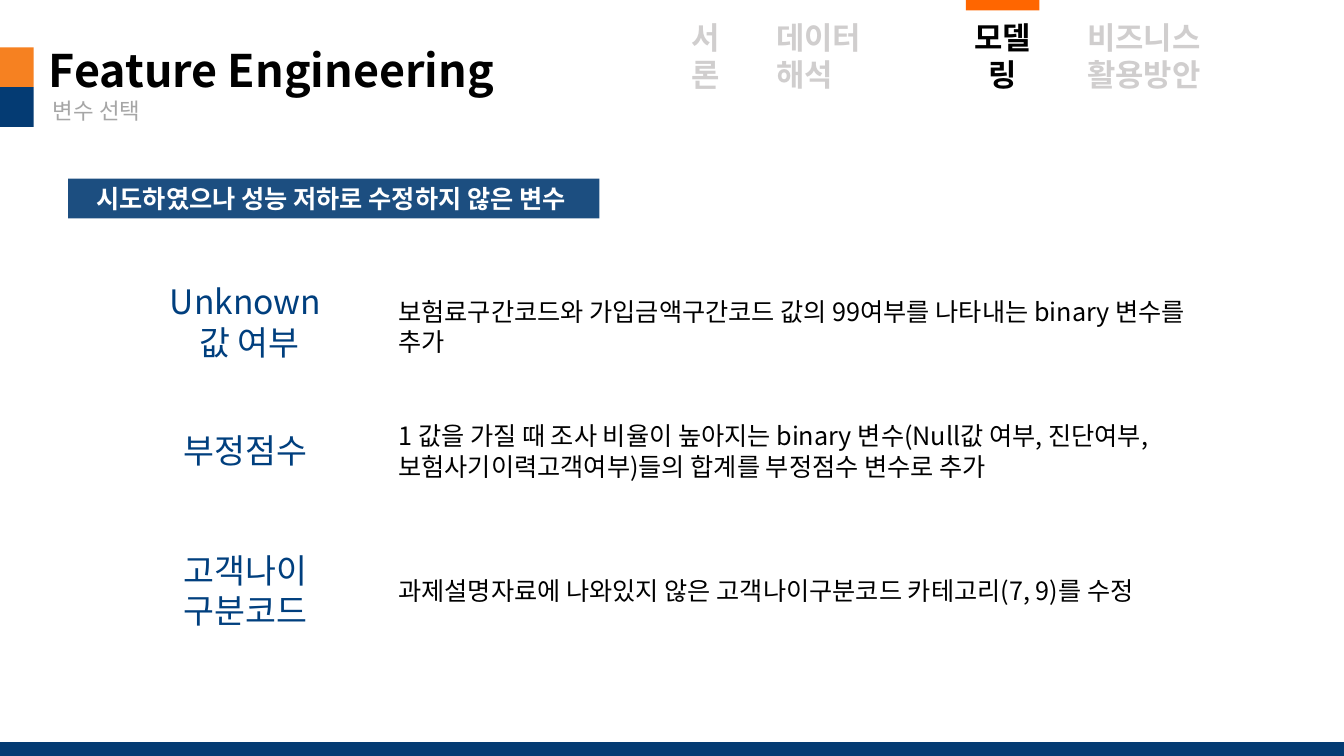
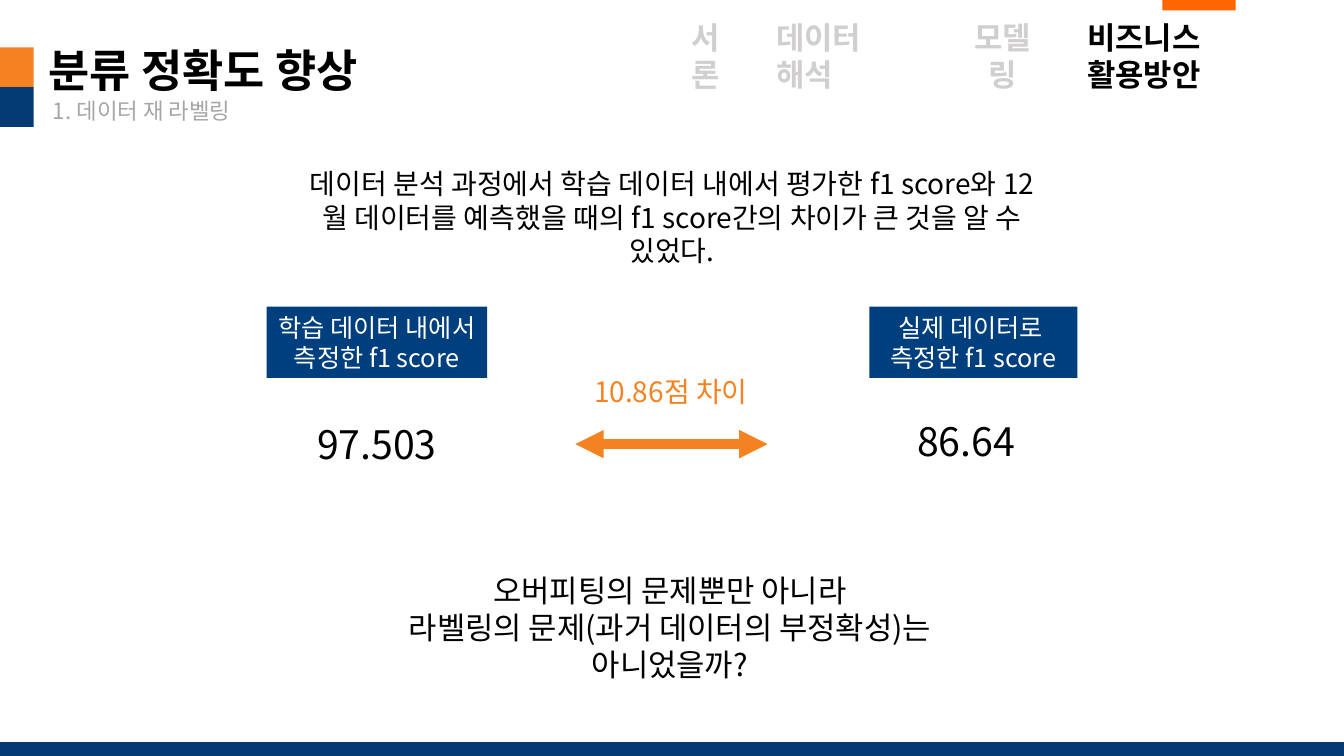
import pptx
import pptx.util
import pptx.dml.color
import pptx.enum.shapes
import pptx.enum.text
import pptx.oxml
import pptx.oxml.ns
import lxml.etree

PX = 9525  # EMU in one px; the slide is 1280 x 720 px
WIDTH, HEIGHT = 1280, 720
FONT = "Noto Sans CJK KR"
COLORS = {
    "navy": "043B73",
    "blue": "003F7E",
    "orange": "F68121",
    "arrow": "F48221",
    "marker": "FF6600",
    "black": "000000",
    "white": "FFFFFF",
    "gray": "A6A6A6",
    "faded": "D0CECE",
}
LEFT = pptx.enum.text.PP_ALIGN.LEFT
CENTER = pptx.enum.text.PP_ALIGN.CENTER

# Navigation: label, width, alignment
NAV_LEFT, NAV_TOP, NAV_HEIGHT, NAV_GAP = 637, 13, 45, 23
NAV_ITEMS = [
    ("서론", 70, CENTER),
    ("데이터 해석", 154, LEFT),
    ("모델링", 96, CENTER),
    ("비즈니스 활용방안", 239, LEFT),
]


def emu(*lengths):
    return [pptx.util.Emu(length * PX) for length in lengths]


def rgb(color):
    return pptx.dml.color.RGBColor.from_string(COLORS[color])


def add_drawing_element(parent, tag, **attributes):
    return lxml.etree.SubElement(parent, pptx.oxml.ns.qn(tag), attributes)


def write(shape, text, size, color, align=LEFT, bold=False):
    text_frame = shape.text_frame
    text_frame.word_wrap = True
    text_frame.text = text
    for paragraph in text_frame.paragraphs:
        paragraph.alignment = align
        for run in paragraph.runs:
            run.font.name = FONT
            run.font.size = pptx.util.Pt(size)
            run.font.bold = bold
            run.font.color.rgb = rgb(color)
            add_drawing_element(run.font._element, "a:ea", typeface=FONT)


def add_text(slide, box, text, size, color="black", align=LEFT, bold=False):
    shape = slide.shapes.add_textbox(*emu(*box))
    write(shape, text, size, color, align, bold)


def add_rectangle(slide, box, color):
    shape = slide.shapes.add_shape(
        pptx.enum.shapes.MSO_SHAPE.RECTANGLE, *emu(*box))
    shape.shadow.inherit = False
    shape.fill.solid()
    shape.fill.fore_color.rgb = rgb(color)
    shape.line.fill.background()
    return shape


def add_label(slide, box, text, color, bold=False):
    shape = add_rectangle(slide, box, color)
    shape.text_frame.vertical_anchor = pptx.enum.text.MSO_ANCHOR.MIDDLE
    write(shape, text, 18, "white", CENTER, bold)
    return shape


def add_line(slide, start, end, color, weight):
    line = slide.shapes.add_connector(
        pptx.enum.shapes.MSO_CONNECTOR.STRAIGHT, *emu(*start, *end))
    line.line.color.rgb = rgb(color)
    line.line.width = pptx.util.Pt(weight)
    add_drawing_element(line._element.spPr, "a:effectLst")
    return line


def add_navigation(slide, current, marker_left):
    left = NAV_LEFT
    for label, width, align in NAV_ITEMS:
        color = "black" if label == current else "faded"
        add_text(slide, (left, NAV_TOP, width, NAV_HEIGHT), label, 22, color,
                 align, True)
        left += width + NAV_GAP
    add_rectangle(slide, (marker_left, 0, 70, 10), "marker")


def add_base_slide(presentation, title, subtitle, current, marker_left):
    slide = presentation.slides.add_slide(presentation.slide_layouts[6])
    # Footer band and title blocks
    add_line(slide, (0, 713), (WIDTH, 713), "navy", 10)
    for index, color in enumerate(("orange", "navy")):
        add_rectangle(slide, (0, 45 + index * 38, 32, 38), color)
    # Title and navigation
    add_text(slide, (37, 36, 564, 61), title, 32, bold=True)
    add_text(slide, (41, 88, 289, 36), subtitle, 16, "gray")
    add_navigation(slide, current, marker_left)
    return slide


def add_variable_row(slide, left, top, term, description, offset):
    add_text(slide, (left, top, 178, 48), term, 24, "blue", CENTER)
    add_text(slide, (left + 225, top + offset, 785, 38), description, 18)


def add_score(slide, label_box, label, value_offset, value):
    left, top, _, _ = label_box
    shift, drop = value_offset
    add_label(slide, label_box, label, "blue")
    add_text(slide, (left + shift, top + drop, 210, 55), value, 28,
             align=CENTER)


def add_difference_arrow(slide, left, top, text):
    add_text(slide, (left, top, 210, 42), text, 20, "arrow", CENTER)
    arrow = add_line(slide, (left + 14, top + 71), (left + 197, top + 71),
                     "arrow", 6.75)
    outline = arrow.line._get_or_add_ln()
    for tag in ("a:headEnd", "a:tailEnd"):
        add_drawing_element(outline, tag, type="triangle")


def build_feature_slide(presentation):
    slide = add_base_slide(presentation, "Feature Engineering", "변수 선택",
                           "모델링", 920)
    # Section label, slightly transparent
    label = add_label(slide, (65, 170, 506, 38),
                      "시도하였으나 성능 저하로 수정하지 않은 변수 ", "navy", True)
    fill_color = label._element.spPr.find(".//" + pptx.oxml.ns.qn("a:srgbClr"))
    add_drawing_element(fill_color, "a:alpha", val="90000")
    # Variables: top, term, description, offset of the description
    rows = [
        (263, "Unknown\n 값 여부",
         "보험료구간코드와 가입금액구간코드 값의 99여부를 나타내는 binary 변수를 추가", 14),
        (405, "부정점수",
         "1 값을 가질 때 조사 비율이 높아지는 binary 변수(Null값 여부, 진단여부, "
         "보험사기이력고객여부)들의 합계를 부정점수 변수로 추가", -9),
        (519, "고객나이\n구분코드",
         "과제설명자료에 나와있지 않은 고객나이구분코드 카테고리(7, 9)를 수정", 24),
    ]
    for top, term, description, offset in rows:
        add_variable_row(slide, 145, top, term, description, offset)


def build_accuracy_slide(presentation):
    slide = add_base_slide(presentation, "분류 정확도 향상", "1. 데이터 재 라벨링",
                           "비즈니스 활용방안", 1107)
    # Introduction
    add_text(slide, (274, 154, 732, 74),
             "데이터 분석 과정에서 학습 데이터 내에서 평가한 f1 score와 "
             "12월 데이터를 예측했을 때의 f1 score간의 차이가 큰 것을 알 수 있었다.",
             20, align=CENTER)
    # Score comparison
    add_score(slide, (254, 292, 210, 68), "학습 데이터 내에서 측정한 f1 score",
              (0, 104), "97.503")
    add_score(slide, (828, 292, 198, 68), "실제 데이터로 \n측정한 f1 score",
              (-13, 101), "86.64")
    add_difference_arrow(slide, 534, 352, "10.86점 차이")
    # Closing question
    add_text(slide, (312, 540, 652, 81),
             "오버피팅의 문제뿐만 아니라\n라벨링의 문제(과거 데이터의 부정확성)는 아니었을까?",
             22, align=CENTER)


def main():
    presentation = pptx.Presentation()
    presentation.slide_width, presentation.slide_height = emu(WIDTH, HEIGHT)
    build_feature_slide(presentation)
    build_accuracy_slide(presentation)
    presentation.save("out.pptx")


if __name__ == "__main__":
    main()
